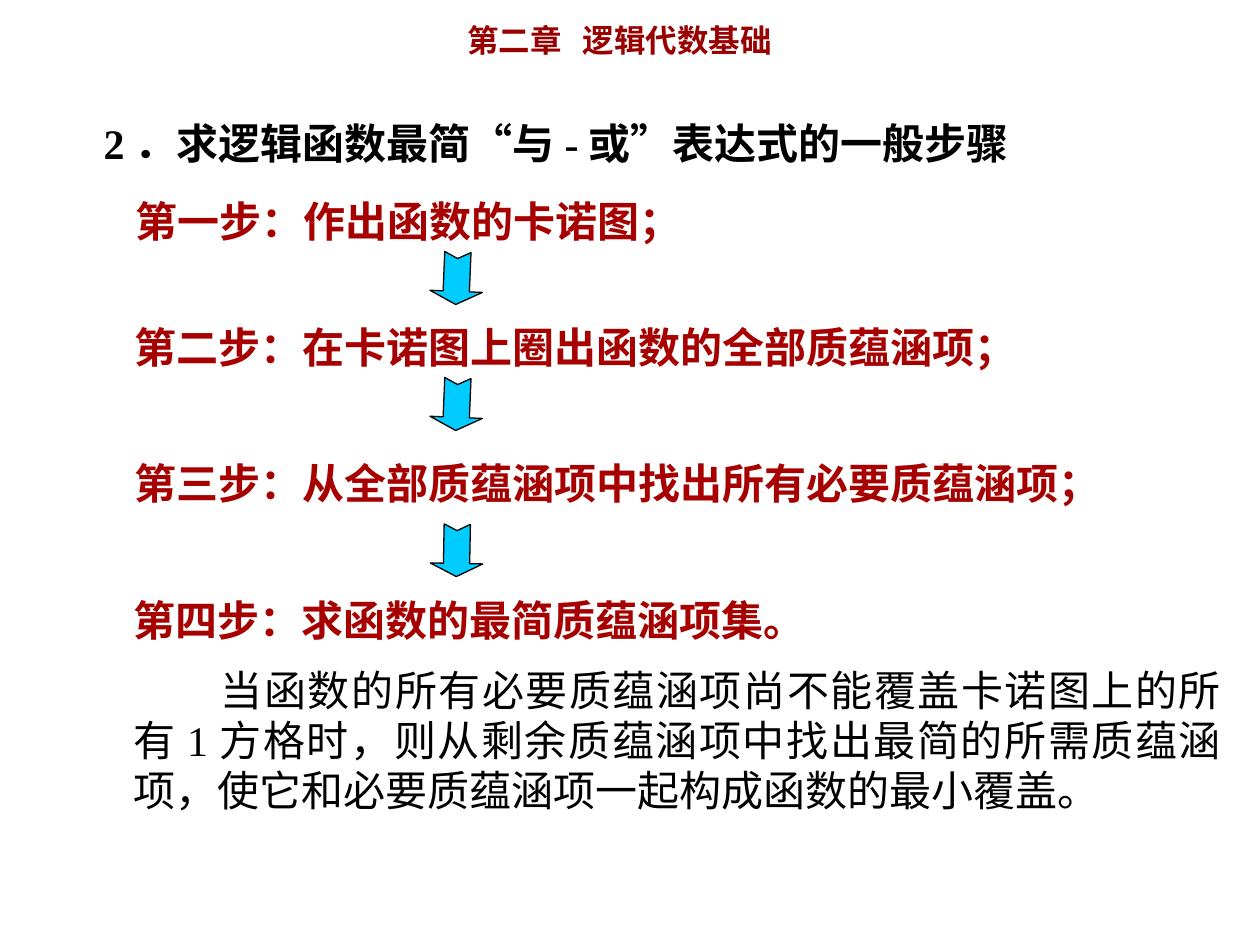
import pptx
import pptx.util
import pptx.dml.color
import pptx.enum.lang
import pptx.enum.shapes
import pptx.enum.text
import pptx.oxml
import pptx.oxml.ns

Pt = pptx.util.Pt
ALIGN = pptx.enum.text.PP_ALIGN
CJK_FONT = "Noto Sans CJK JP"


def color(value):
    return pptx.dml.color.RGBColor.from_string(value)


def style(paragraph, size, ink, bold=True, latin="Times New Roman", align=ALIGN.LEFT):
    paragraph.alignment = align
    for run in paragraph.runs:
        run.font.size = Pt(size)
        run.font.bold = bold
        run.font.name = latin
        run.font.color.rgb = color(ink)
        run.font.language_id = pptx.enum.lang.MSO_LANGUAGE_ID.SIMPLIFIED_CHINESE
        east_asian = pptx.oxml.parse_xml(
            f'<a:ea {pptx.oxml.ns.nsdecls("a")} typeface="{CJK_FONT}"/>')
        run.font._element.find(pptx.oxml.ns.qn("a:latin")).addnext(east_asian)


deck = pptx.Presentation()
deck.slide_width, deck.slide_height = Pt(720), Pt(540)
slide = deck.slides.add_slide(deck.slide_layouts[5])

chapter = slide.shapes.add_textbox(Pt(260), Pt(8.6), Pt(233), Pt(29)).text_frame
chapter.word_wrap = True
chapter.text = "第二章\t逻辑代数基础"
chapter.paragraphs[0]._p.get_or_add_pPr().append(pptx.oxml.parse_xml(
    f'<a:tabLst {pptx.oxml.ns.nsdecls("a")}><a:tab pos="{Pt(66)}" algn="l"/></a:tabLst>'))
style(chapter.paragraphs[0], 18, "990000", latin=CJK_FONT)

heading = slide.shapes.title
heading.left, heading.top, heading.width, heading.height = Pt(52), Pt(63.4), Pt(564), Pt(36)
heading.text_frame.text = "2．求逻辑函数最简“与-或”表达式的一般步骤"
heading.text_frame.auto_size = pptx.enum.text.MSO_AUTO_SIZE.NONE
heading.text_frame.vertical_anchor = pptx.enum.text.MSO_ANCHOR.TOP
style(heading.text_frame.paragraphs[0], 24, "000000")

steps = [
    ("第一步：作出函数的卡诺图；", 70.6, 108, 36),
    ("第二步：在卡诺图上圈出函数的全部质蕴涵项；", 69.8, 180, 36),
    ("第三步：从全部质蕴涵项中找出所有必要质蕴涵项；", 69.8, 257.8, 36),
    ("第四步：求函数的最简质蕴涵项集。", 69.1, 336.2, 137),
]
for wording, left, top, height in steps:
    step = slide.shapes.add_textbox(Pt(left), Pt(top), Pt(636), Pt(height)).text_frame
    step.word_wrap = True
    step.text = wording
    style(step.paragraphs[0], 24, "A60000")

explanation = step.add_paragraph()
explanation.text = ("当函数的所有必要质蕴涵项尚不能覆盖卡诺图上的所有1方格时，"
                    "则从剩余质蕴涵项中找出最简的所需质蕴涵项，"
                    "使它和必要质蕴涵项一起构成函数的最小覆盖。")
explanation.space_before = Pt(11)
explanation._p.get_or_add_pPr().set("indent", str(Pt(50)))
style(explanation, 24, "000000", bold=False, align=ALIGN.JUSTIFY)

for top, rotation in [(144, 92.4), (216, 92.4), (299.5, 91.1)]:
    arrow = slide.shapes.add_shape(
        pptx.enum.shapes.MSO_SHAPE.NOTCHED_RIGHT_ARROW, Pt(246), Pt(top), Pt(30), Pt(30))
    arrow.adjustments[0] = 0.5
    arrow.adjustments[1] = 0.25
    arrow.rotation = rotation
    arrow.shadow.inherit = False
    arrow.fill.solid()
    arrow.fill.fore_color.rgb = color("00CCFF")
    arrow.line.color.rgb = color("000000")
    arrow.line.width = Pt(0.75)

deck.save("out.pptx")
